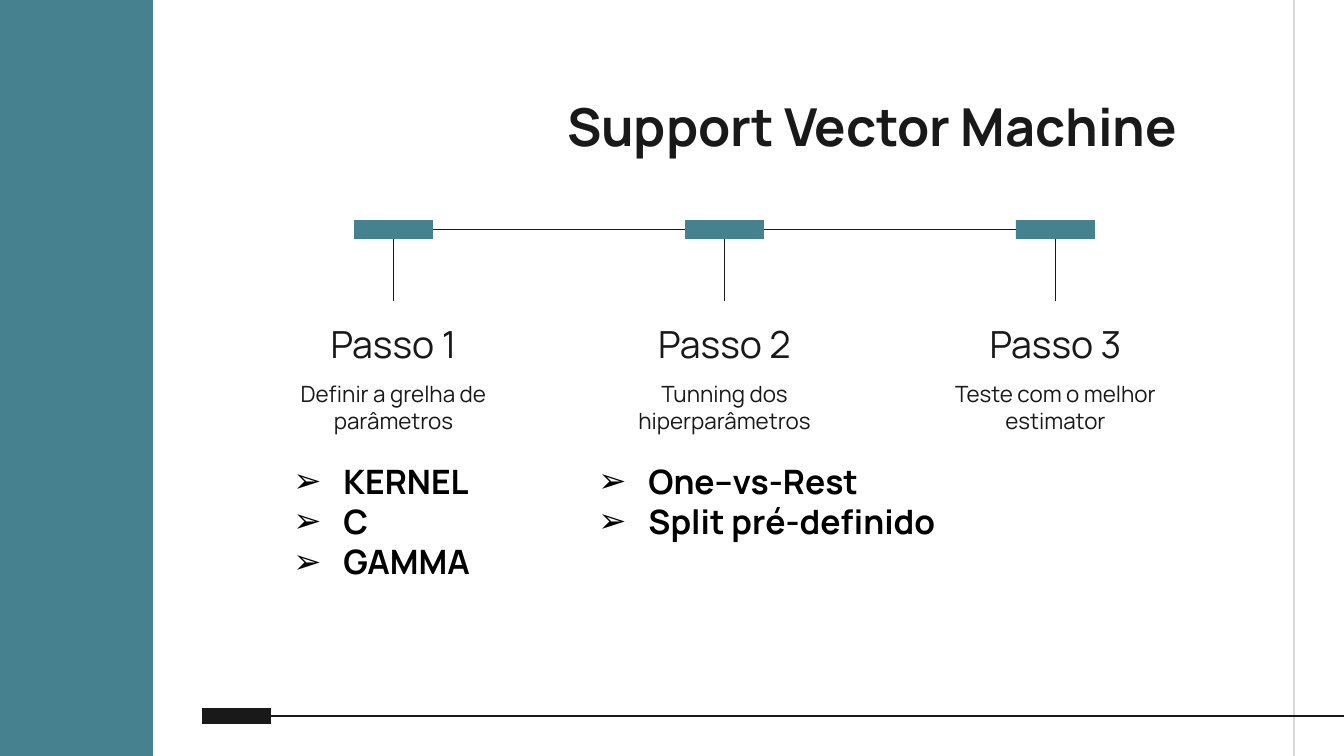
from lxml import etree
from pptx import Presentation
from pptx import util as u
from pptx.dml.color import RGBColor
from pptx.enum import shapes, text
from pptx.oxml import ns

PX = 6804
INSET = 13
FONT = "Manrope"
TEAL = RGBColor(0x45, 0x81, 0x8E)
INK = RGBColor(0x19, 0x19, 0x19)
GREY = RGBColor(0xD9, 0xD9, 0xD9)
BLACK = RGBColor(0, 0, 0)
WHITE = RGBColor(0xFF, 0xFF, 0xFF)

STEPS = [
    ("Passo 1", "Definir a grelha de parâmetros"),
    ("Passo 2", "Tunning dos hiperparâmetros"),
    ("Passo 3", "Teste com o melhor estimator"),
]
KERNEL_LIST = ["KERNEL", "C", "GAMMA"]
TUNING_LIST = ["One–vs-Rest", "Split pré-definido"]


def emu(*lengths):
    """Turn px lengths into EMU."""
    return [u.Emu(length * PX) for length in lengths]


def place(shape, box):
    """Move and size a shape to a px box."""
    shape.left, shape.top, shape.width, shape.height = emu(*box)


def add_line(page, start, end, color=INK, width=0.75):
    """Draw a straight line without shadow."""
    line = page.shapes.add_connector(
        shapes.MSO_CONNECTOR.STRAIGHT, *emu(*start, *end))
    line.line.color.rgb = color
    line.line.width = u.Pt(width)
    etree.SubElement(line._element.spPr, ns.qn("a:effectLst"))
    return line


def add_bar(page, box):
    """Draw a plain teal rectangle."""
    bar = page.shapes.add_shape(shapes.MSO_SHAPE.RECTANGLE, *emu(*box))
    bar.shadow.inherit = False
    bar.fill.solid()
    bar.fill.fore_color.rgb = TEAL
    bar.line.fill.background()
    return bar


def style_runs(para, size, color, bold=False):
    """Format every run of a paragraph."""
    for span in para.runs:
        span.font.name = FONT
        span.font.size = u.Pt(size)
        span.font.bold = bold
        span.font.color.rgb = color


def fill_text(shape, wording, size, anchor, align, bold=False):
    """Write one evenly inset paragraph into a shape."""
    frame = shape.text_frame
    frame.text = wording
    frame.word_wrap = True
    frame.auto_size = text.MSO_AUTO_SIZE.NONE
    frame.vertical_anchor = anchor
    (frame.margin_left, frame.margin_top,
     frame.margin_right, frame.margin_bottom) = emu(*[INSET] * 4)
    para = frame.paragraphs[0]
    para.alignment = align
    style_runs(para, size, INK, bold)


def add_frame(page, width, height):
    """Draw the side band, margin line and footer rule."""
    add_bar(page, (0, 0, 153, height))
    add_line(page, (width - 50, -5), (width - 50, height + 5), GREY)
    rule = height - 40
    add_line(page, (202, rule), (271, rule), width=9)
    add_line(page, (271, rule), (width + 59, rule))


def add_title(page, box):
    """Place the slide title."""
    title = page.shapes.title
    place(title, box)
    fill_text(title, "Support Vector Machine", 28,
              text.MSO_ANCHOR.BOTTOM, text.PP_ALIGN.LEFT, bold=True)


def add_step(page, box, name, detail):
    """Place one step with its marker, stem and texts, and return the marker."""
    left, top, width, height = box
    marker = add_bar(page, (left + 113, top, 79, 19))
    parts = [
        (name, 20, text.MSO_ANCHOR.BOTTOM, 81, 78),
        (detail, 12, text.MSO_ANCHOR.TOP, 147, height - 147),
    ]
    labels = []
    for wording, size, anchor, offset, tall in parts:
        label = page.shapes.add_textbox(*emu(left, top + offset, width, tall))
        fill_text(label, wording, size, anchor, text.PP_ALIGN.CENTER)
        labels.append(label)
    stem = add_line(page, (left, top), (left, top + 81))
    stem.begin_connect(marker, 2)
    stem.end_connect(labels[0], 0)
    return marker


def add_timeline(page, box):
    """Spread the steps evenly over a box and link their markers."""
    left, top, width, height = box
    step_width = 305
    pitch = (width - step_width) // (len(STEPS) - 1)
    markers = [
        add_step(page, (left + i * pitch, top, step_width, height), *step)
        for i, step in enumerate(STEPS)
    ]
    for before, after in zip(markers, markers[1:]):
        link = add_line(page, (left, top), (left + pitch, top))
        link.begin_connect(before, 3)
        link.end_connect(after, 1)


def add_list(body, box, items):
    """Fill a body placeholder with an arrow-bulleted list."""
    place(body, box)
    frame = body.text_frame
    frame.text = "\n".join(items)
    frame.word_wrap = True
    frame.auto_size = text.MSO_AUTO_SIZE.SHAPE_TO_FIT_TEXT
    frame.vertical_anchor = text.MSO_ANCHOR.TOP
    for para in frame.paragraphs:
        props = para._p.get_or_add_pPr()
        props.set("marL", str(50 * PX))
        props.set("indent", str(-50 * PX))
        tint = etree.SubElement(props, ns.qn("a:buClr"))
        etree.SubElement(tint, ns.qn("a:srgbClr")).set("val", str(BLACK))
        etree.SubElement(props, ns.qn("a:buChar")).set("char", "➢")
        para.space_before = u.Pt(0)
        para.alignment = text.PP_ALIGN.LEFT
        style_runs(para, 18, BLACK, bold=True)


def main():
    """Build and save the deck."""
    width, height = 1344, 756
    deck = Presentation()
    deck.slide_width, deck.slide_height = emu(width, height)
    page = deck.slides.add_slide(deck.slide_layouts.get_by_name("Two Content"))
    page.background.fill.solid()
    page.background.fill.fore_color.rgb = WHITE
    add_frame(page, width, height)
    add_title(page, (554, 77, 699, 93))
    add_timeline(page, (241, 220, 967, 234))
    add_list(page.placeholders[1], (280, 454, 305, 136), KERNEL_LIST)
    add_list(page.placeholders[2], (585, 454, 383, 95), TUNING_LIST)
    deck.save("out.pptx")


if __name__ == "__main__":
    main()
